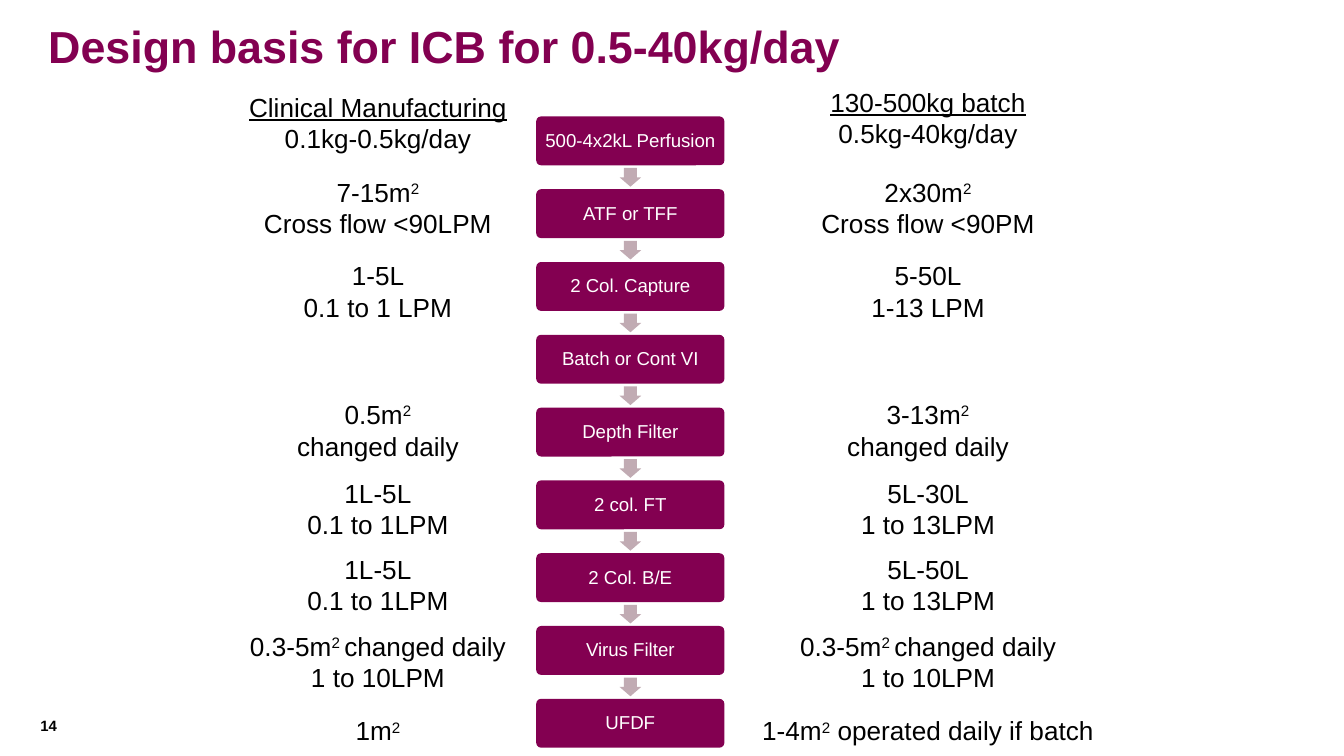
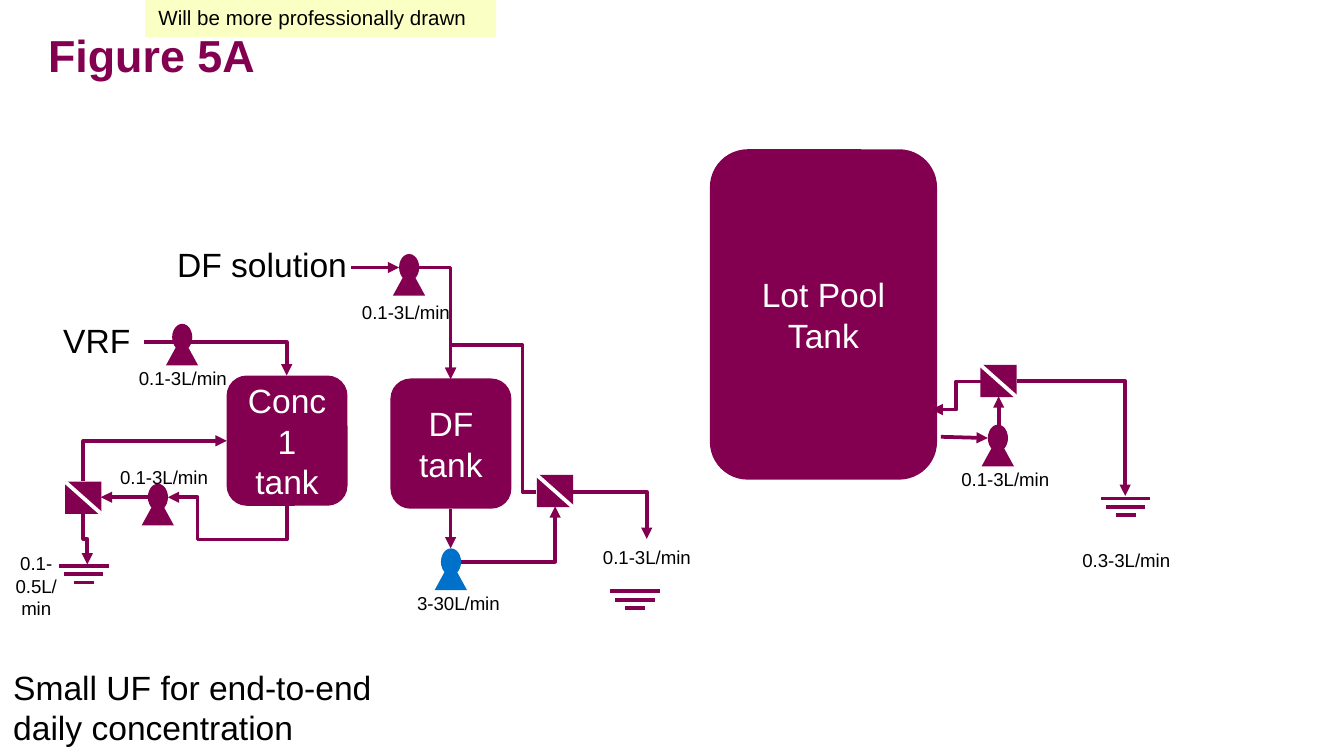
from lxml.etree import SubElement
from pptx import Presentation
from pptx.dml.color import RGBColor
from pptx.enum.shapes import MSO_CONNECTOR, MSO_SHAPE
from pptx.enum.text import MSO_ANCHOR, PP_ALIGN
from pptx.oxml.ns import qn
from pptx.util import Pt

PLUM = RGBColor(0x83, 0x00, 0x51)
MAUVE = RGBColor(0xC1, 0xAB, 0xB3)
BLUE = RGBColor(0x00, 0x71, 0xCB)
CREAM = RGBColor(0xFA, 0xFF, 0xC4)
WHITE = RGBColor(0xFF, 0xFF, 0xFF)
BLACK = RGBColor(0x00, 0x00, 0x00)
FONT = "Arial"

# Slide 1: process steps, and notes on either side of them.
# Text between two carets is superscript.
STEPS = ["500-4x2kL Perfusion", "ATF or TFF", "2 Col. Capture",
         "Batch or Cont VI", "Depth Filter", "2 col. FT", "2 Col. B/E",
         "Virus Filter", "UFDF"]
STEP_X, STEP_Y, STEP_W, STEP_H, PITCH = 287.3, 62.4, 100.8, 26.2, 39

# centre, heads (top, width, lines), notes (top, width, lines)
CLINIC = (202.5, (45.2, 160, ["Clinical Manufacturing", "0.1kg-0.5kg/day"]), [
    (90.7, 188, ["7-15m^2^", "Cross flow <90LPM"]),
    (135.7, 103, ["1-5L", "0.1 to 1 LPM"]),
    (210, 103, ["0.5m^2^ changed daily"]),
    (252, 103, ["1L-5L", "0.1 to 1LPM"]),
    (293, 103, ["1L-5L", "0.1 to 1LPM"]),
    (334, 215, ["0.3-5m^2 ^changed daily", "1 to 10LPM"]),
    (379.4, 161, ["1m^2^"]),
])
BATCH = (497.2, (42.5, 160, ["130-500kg batch", "0.5kg-40kg/day"]), [
    (90.7, 168.5, ["2x30m^2^", "Cross flow <90PM"]),
    (135.7, 103, ["5-50L", "1-13 LPM"]),
    (210, 103, ["3-13m^2^ changed daily"]),
    (252, 103, ["5L-30L", "1 to 13LPM"]),
    (293, 103, ["5L-50L", "1 to 13LPM"]),
    (334, 170.6, ["0.3-5m^2 ^changed daily", "1 to 10LPM"]),
    (379.4, 265.7, ["1-4m^2^ operated daily if batch"]),
])

# Slide 2: parts of the flow diagram
TANKS = [
    ("Conc 1 tank", (121.4, 201.2, 64.8, 69.8)),
    ("DF tank", (209.2, 202.8, 64.8, 69.8)),
    ("Lot Pool Tank", (380.3, 80, 121.7, 177)),
]
PUMPS = [(79.2, 259.2, PLUM), (213.8, 136.1, PLUM), (236.2, 293.8, BLUE),
         (529.2, 227.5, PLUM), (92.2, 173.5, PLUM)]
FILTERS = [(34.9, 258.1), (287.6, 254.5), (525.2, 195.5)]
DRAINS = [(31.7, 303.1), (589.7, 267.1), (326.9, 316.8)]
FLOWS = [
    ((187.9, 143.3), (213.8, 143.3)),
    ((504, 234), (529.2, 234.7)),
    ((535, 227.5), (535, 212.4)),
    ((79.2, 266.4), (54, 266.4)),
    ((241.4, 272.9), (241.4, 293.8)),
]
# start, end, bend preset, turn, flips, bend places
BENDS = [
    ((44.6, 275), (46.8, 302.4), 3, 270, "H", [0.5]),
    ((287.3, 263.5), (241.4, 203), 4, 180, "", [0.16, 1.3]),
    ((224.6, 143.3), (241.4, 203), 2, 0, "", []),
    ((525.6, 204.3), (499, 219.4), 3, 180, "V", [0.5]),
    ((77, 183.4), (153.6, 201.2), 2, 0, "", []),
    ((306.7, 263.5), (346.5, 288.7), 2, 0, "", []),
    ((545, 204.3), (602.8, 265.7), 2, 0, "", []),
    ((44.6, 257.8), (121.4, 236.2), 2, 90, "HV", []),
    ((153.6, 271), (90, 266.4), 4, 90, "H", [-3.93, 0.75]),
    ((247, 301), (297.4, 271.4), 2, 0, "V", []),
]
RATES = [
    ("0.1-3L/min", 67, 193), ("0.1-3L/min", 56.9, 246.2),
    ("0.1-3L/min", 315.6, 288.7), ("3-30L/min", 214.6, 313.4),
    ("0.1-3L/min", 507.6, 247), ("0.1-3L/min", 186.5, 157.7),
    ("0.3-3L/min", 572.4, 290.4),
]
NAMES = [
    ("DF solution", (87.8, 127.4, 109.4, 28.8)),
    ("VRF", (26.8, 167.8, 54.7, 28.8)),
    ("Small UF for end-to-end daily concentration", (0, 353.5, 240.5, 51)),
]


def pts(*nums):
    return [Pt(n) for n in nums]


def write(shape, lines, size, color=BLACK, bold=False, center=True,
          middle=False, inset=None, wrap=True, head=False):
    """Fill a shape with lines; head underlines the first of them."""
    frame = shape.text_frame
    frame.word_wrap = wrap
    frame.vertical_anchor = MSO_ANCHOR.MIDDLE if middle else MSO_ANCHOR.TOP
    if inset is not None:
        frame.margin_left = frame.margin_right = Pt(inset)
        frame.margin_top = frame.margin_bottom = Pt(inset)
    for row, line in enumerate(lines):
        para = frame.paragraphs[0] if row == 0 else frame.add_paragraph()
        para.alignment = PP_ALIGN.CENTER if center else PP_ALIGN.LEFT
        for part, text in enumerate(line.split("^")):
            if not text:
                continue
            run = para.add_run()
            run.text = text
            font = run.font
            font.name, font.size, font.bold = FONT, Pt(size), bold
            font.color.rgb = color
            if head and row == 0:
                font.underline = True
            if part % 2:
                run._r.get_or_add_rPr().set("baseline", "30000")


def label(slide, box, lines, size, **style):
    write(slide.shapes.add_textbox(*pts(*box)), lines, size, **style)


def block(slide, kind, box, fill):
    shape = slide.shapes.add_shape(kind, *pts(*box))
    shape.shadow.inherit = False
    shape.fill.solid()
    shape.fill.fore_color.rgb = fill
    shape.line.fill.background()
    return shape


def wire(slide, start, end, color=PLUM, arrow=False, kind=MSO_CONNECTOR.STRAIGHT):
    line = slide.shapes.add_connector(kind, *pts(*start, *end))
    line.line.color.rgb = color
    line.line.width = Pt(2)
    props = line._element.spPr
    if arrow:
        SubElement(props.get_or_add_ln(), qn("a:tailEnd"), type="triangle")
    SubElement(props, qn("a:effectLst"))
    return props


def bend(slide, start, end, preset, turn, flips, places):
    """Draw an elbow arrow whose frame is turned about its centre."""
    (x1, y1), (x2, y2) = start, end
    wide, high = abs(x2 - x1), abs(y2 - y1)
    if turn % 180:
        wide, high = high, wide
    left, top = (x1 + x2 - wide) / 2, (y1 + y2 - high) / 2
    props = wire(slide, (left, top), (left + wide, top + high),
                 arrow=True, kind=MSO_CONNECTOR.ELBOW)
    frame = props.find(qn("a:xfrm"))
    frame.set("rot", str(turn * 60000))
    for flip in flips:
        frame.set("flip" + flip, "1")
    geom = props.find(qn("a:prstGeom"))
    geom.set("prst", f"bentConnector{preset}")
    guides = geom.find(qn("a:avLst"))
    for num, place in enumerate(places, 1):
        SubElement(guides, qn("a:gd"), name=f"adj{num}",
                   fmla=f"val {round(place * 100000)}")


def start_slide(deck, title, top):
    slide = deck.slides.add_slide(deck.slide_layouts[6])
    label(slide, (18.7, top, 690.5, 39.6), [title], 24, color=PLUM,
          bold=True, center=False)
    return slide


def draw_basis(deck):
    slide = start_slide(deck, "Design basis for ICB for 0.5-40kg/day", 6.5)
    label(slide, (21.6, 383.8, 31, 13), ["14"], 8, bold=True,
          center=False, inset=0)
    for num, step in enumerate(STEPS):
        top = STEP_Y + num * PITCH
        box = block(slide, MSO_SHAPE.ROUNDED_RECTANGLE,
                    (STEP_X, top, STEP_W, STEP_H), PLUM)
        box.adjustments[0] = 0.1
        write(box, [step], 10, color=WHITE, middle=True, inset=3)
        box.text_frame.margin_bottom = Pt(4)
        if num < len(STEPS) - 1:
            arrow = block(slide, MSO_SHAPE.RIGHT_ARROW,
                          (STEP_X + STEP_W / 2 - 5, top + 26.8, 10, 11.6), MAUVE)
            arrow.rotation = 90
            arrow.adjustments[0], arrow.adjustments[1] = 0.6, 0.5
    for mid, head, notes in (CLINIC, BATCH):
        for top, wide, lines in [head] + notes:
            high = 24.5 if top > 370 else 41
            label(slide, (mid - wide / 2, top, wide, high), lines, 14,
                  head=lines is head[2])


def draw_flow(deck):
    slide = start_slide(deck, "Figure 5A", 11.5)
    for name, box in TANKS:
        tank = block(slide, MSO_SHAPE.ROUNDED_RECTANGLE, box, PLUM)
        write(tank, [name], 18, color=WHITE, middle=True)
    for start, end in FLOWS:
        wire(slide, start, end, arrow=True)
    for item in BENDS:
        bend(slide, *item)
    for x, y in FILTERS:
        block(slide, MSO_SHAPE.RECTANGLE, (x, y, 19.5, 17.3), PLUM)
        wire(slide, (x, y), (x + 19.5, y + 17.3), WHITE)
    for x, y, color in PUMPS:
        block(slide, MSO_SHAPE.OVAL, (x, y, 10.8, 14.4), color)
        block(slide, MSO_SHAPE.ISOSCELES_TRIANGLE,
              (x - 3.3, y + 6.5, 17.3, 15.8), color)
    for x, y in DRAINS:
        for num, wide in enumerate((26.6, 20.9, 10.8)):
            left, level = x + (26.6 - wide) / 2, y + num * 4.5
            wire(slide, (left, level), (left + wide, level))
    for rate, x, y in RATES:
        label(slide, (x, y, 61.9, 19.4), [rate], 10, wrap=False)
    label(slide, (-2.9, 292.3, 44.6, 55.4), ["0.1-0.5L/min"], 10)
    for name, box in NAMES:
        label(slide, box, [name], 18, center=False)
    note = block(slide, MSO_SHAPE.RECTANGLE, (77.8, -0.7, 188, 20.6), CREAM)
    write(note, ["Will be more professionally drawn"], 11, center=False)


def main():
    deck = Presentation()
    deck.slide_width, deck.slide_height = pts(720, 405)
    draw_basis(deck)
    draw_flow(deck)
    deck.save("out.pptx")


if __name__ == "__main__":
    main()
